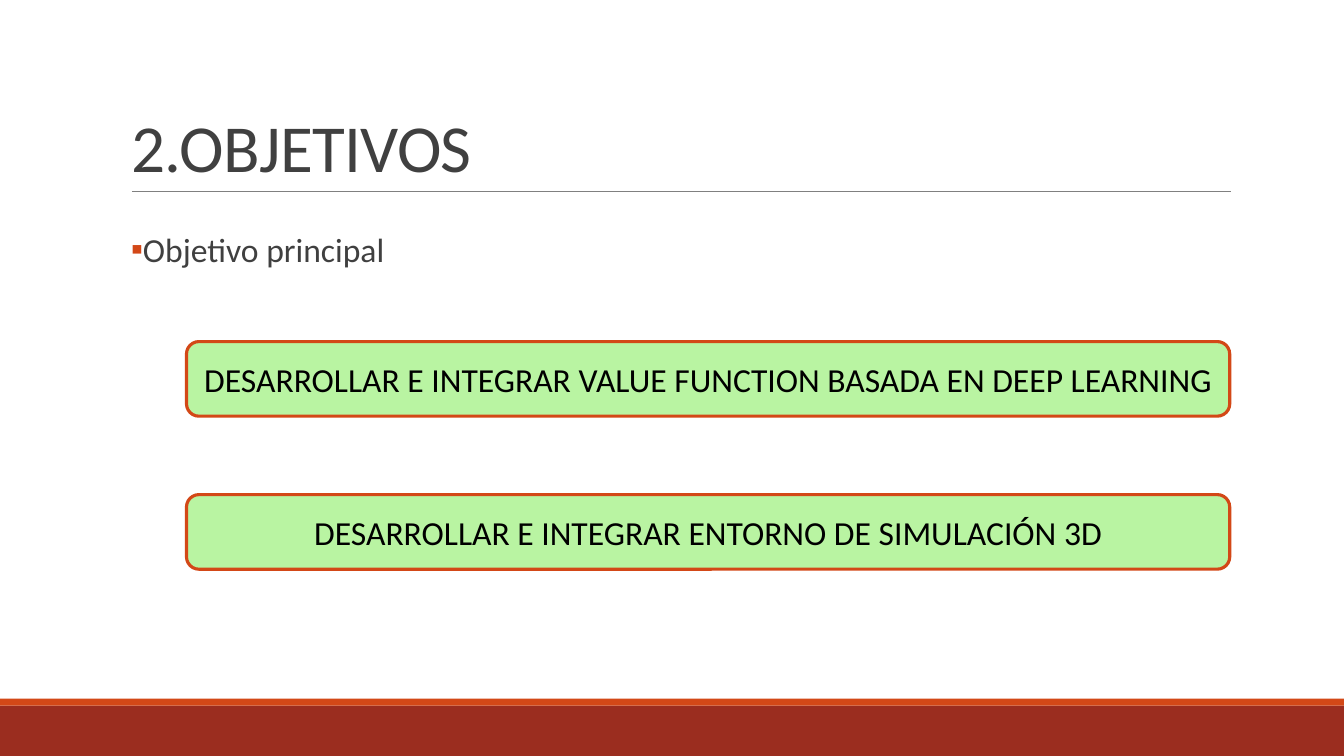
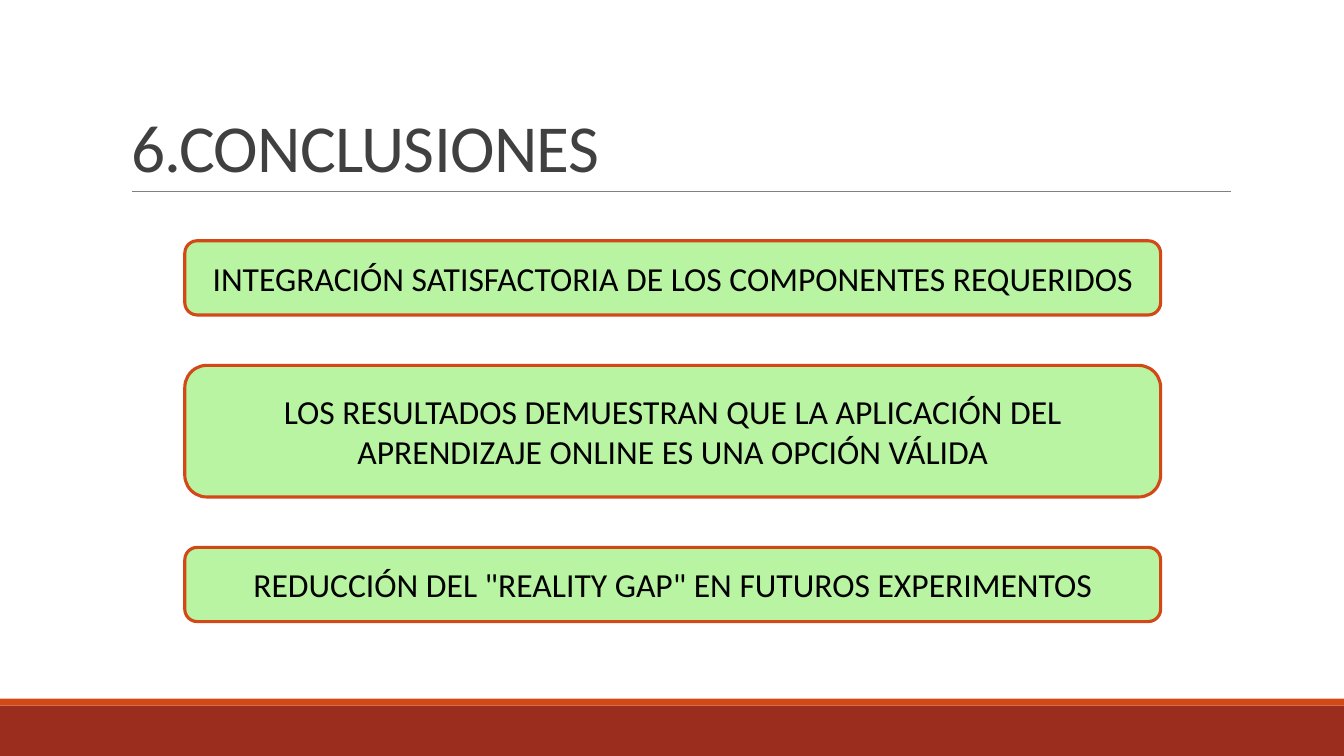
from lxml.etree import SubElement
from pptx import Presentation
from pptx.dml.color import RGBColor
from pptx.enum.shapes import MSO_CONNECTOR, MSO_SHAPE
from pptx.enum.text import MSO_ANCHOR, MSO_AUTO_SIZE, PP_ALIGN
from pptx.oxml.ns import qn
from pptx.util import Pt

SLIDE_WIDTH, SLIDE_HEIGHT = 960, 540
FONT = "Calibri"
RED, ORANGE, GREEN = "9B2D1F", "D34817", "B9F4A2"
GRAY, RULE_GRAY, BLACK = "404040", "808080", "000000"

TITLE_BOX = (86.4, 22.5, 792, 114.3)
BODY_BOX = (86.4, 145.4, 792, 316.8)
BAND_TOP, STRIPE_HEIGHT = 504, 5
RULE_LEFT, RULE_RIGHT, RULE_TOP = 94.3, 879.1, 136.8
BULLET_INDENT = 7.2

TITLE_FORMAT = {"alignment": PP_ALIGN.LEFT, "line_spacing": 0.85}
BODY_FORMAT = {"line_spacing": 1.5, "space_before": Pt(0), "space_after": Pt(2)}
BOX_FORMAT = {"alignment": PP_ALIGN.CENTER}


def color(hex_value):
    return RGBColor.from_string(hex_value)


def points(box):
    return [Pt(value) for value in box]


def apply_format(target, values):
    for name, value in values.items():
        setattr(target, name, value)


def write_text(shape, text, size, text_color, anchor, paragraph_format):
    """Fill the shape with one formatted paragraph and return that paragraph."""
    frame = shape.text_frame
    apply_format(frame, {"text": text, "word_wrap": True, "vertical_anchor": anchor,
                         "auto_size": MSO_AUTO_SIZE.NONE})
    paragraph = frame.paragraphs[0]
    apply_format(paragraph, paragraph_format)
    font = paragraph.runs[0].font
    apply_format(font, {"name": FONT, "size": Pt(size)})
    font.color.rgb = color(text_color)
    return paragraph


def place(shape, box):
    apply_format(shape, dict(zip(("left", "top", "width", "height"), points(box))))


def add_filled_shape(slide, kind, box, fill):
    shape = slide.shapes.add_shape(kind, *points(box))
    shape.shadow.inherit = False
    shape.fill.solid()
    shape.fill.fore_color.rgb = color(fill)
    shape.line.fill.background()
    return shape


def add_frame(slide):
    """Draw the bottom bands and the rule under the title."""
    bands = (
        (BAND_TOP, SLIDE_HEIGHT - BAND_TOP, RED),
        (BAND_TOP - STRIPE_HEIGHT, STRIPE_HEIGHT, ORANGE),
    )
    for top, height, fill in bands:
        add_filled_shape(slide, MSO_SHAPE.RECTANGLE, (0, top, SLIDE_WIDTH, height), fill)
    rule = slide.shapes.add_connector(
        MSO_CONNECTOR.STRAIGHT, *points((RULE_LEFT, RULE_TOP, RULE_RIGHT, RULE_TOP)))
    rule.line.color.rgb = color(RULE_GRAY)
    rule.line.width = Pt(0.5)
    SubElement(rule.element.spPr, qn("a:effectLst"))


def add_titled_slide(presentation, layout_index, title):
    slide = presentation.slides.add_slide(presentation.slide_layouts[layout_index])
    add_frame(slide)
    place(slide.shapes.title, TITLE_BOX)
    paragraph = write_text(slide.shapes.title, title, 48, GRAY, MSO_ANCHOR.BOTTOM, TITLE_FORMAT)
    paragraph.runs[0].font.language_id = None
    paragraph.runs[0].font._element.set("spc", "-50")
    return slide


def fill_body(slide, text):
    body = slide.placeholders[1]
    place(body, BODY_BOX)
    paragraph = write_text(body, text, 24, GRAY, MSO_ANCHOR.TOP, BODY_FORMAT)
    properties = paragraph._p.get_or_add_pPr()
    properties.set("marL", str(Pt(BULLET_INDENT)))
    properties.set("indent", str(-Pt(BULLET_INDENT)))
    bullet_color = SubElement(properties, qn("a:buClr"))
    SubElement(bullet_color, qn("a:srgbClr"), val=ORANGE)
    SubElement(properties, qn("a:buFont"), typeface=FONT)
    SubElement(properties, qn("a:buChar"), char="▪")


def add_statements(slide, left, top, width, gap, statements):
    """Stack rounded boxes, given as (text, height), with equal gaps."""
    for text, height in statements:
        box = add_filled_shape(
            slide, MSO_SHAPE.ROUNDED_RECTANGLE, (left, top, width, height), GREEN)
        box.line.color.rgb = color(ORANGE)
        box.line.width = Pt(2.25)
        write_text(box, text, 24, BLACK, MSO_ANCHOR.MIDDLE, BOX_FORMAT)
        top += height + gap


def main():
    presentation = Presentation()
    presentation.slide_width = Pt(SLIDE_WIDTH)
    presentation.slide_height = Pt(SLIDE_HEIGHT)

    objectives = add_titled_slide(presentation, 1, "2.OBJETIVOS")
    fill_body(objectives, "Objetivo principal")
    add_statements(objectives, 133.2, 244, 745.2, 56, (
        ("DESARROLLAR E INTEGRAR VALUE FUNCTION BASADA EN DEEP LEARNING", 53.3),
        ("DESARROLLAR E INTEGRAR ENTORNO DE SIMULACIÓN 3D", 53.3),
    ))

    conclusions = add_titled_slide(presentation, 5, "6.CONCLUSIONES")
    add_statements(conclusions, 132, 172, 697, 36, (
        ("INTEGRACIÓN SATISFACTORIA DE LOS COMPONENTES REQUERIDOS", 53),
        ("LOS RESULTADOS DEMUESTRAN QUE LA APLICACIÓN "
         "DEL APRENDIZAJE ONLINE ES UNA OPCIÓN VÁLIDA", 94),
        ('REDUCCIÓN DEL "REALITY GAP" EN FUTUROS EXPERIMENTOS', 53),
    ))

    presentation.save("out.pptx")


if __name__ == "__main__":
    main()
